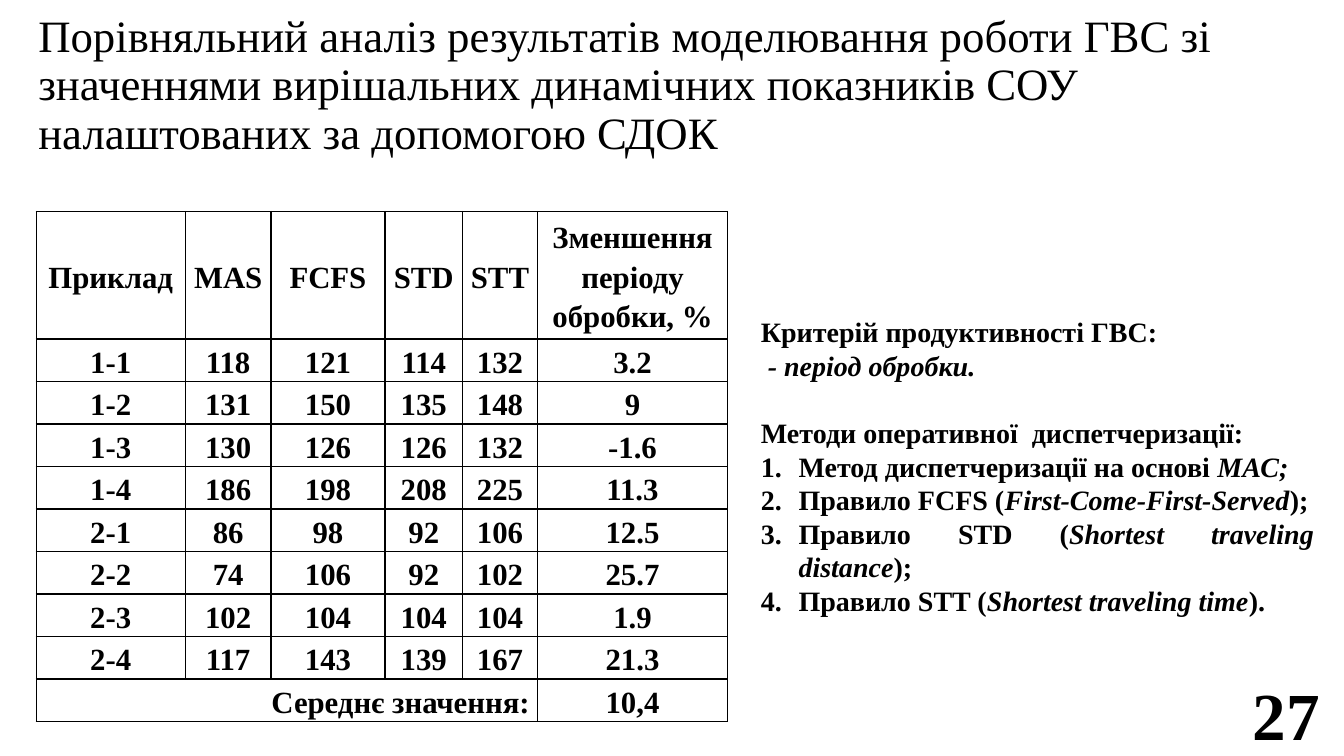
from pptx import Presentation
from pptx import util as u
from pptx.dml.color import RGBColor
from pptx.enum import text
from pptx.oxml import parse_xml
from pptx.oxml.ns import nsdecls

FONT = "Times New Roman"
BLACK = "000000"
AL = text.PP_ALIGN
MIDDLE = text.MSO_ANCHOR.MIDDLE

TITLE = ("Порівняльний аналіз результатів моделювання роботи ГВС зі значеннями "
         "вирішальних динамічних показників СОУ налаштованих за допомогою СДОК")
HEADER = ["Приклад", "MAS", "FCFS", "STD", "STT", "Зменшення періоду обробки, %"]
RESULTS = [
    ["1-1", "118", "121", "114", "132", "3.2"],
    ["1-2", "131", "150", "135", "148", "9"],
    ["1-3", "130", "126", "126", "132", "-1.6"],
    ["1-4", "186", "198", "208", "225", "11.3"],
    ["2-1", "86", "98", "92", "106", "12.5"],
    ["2-2", "74", "106", "92", "102", "25.7"],
    ["2-3", "102", "104", "104", "104", "1.9"],
    ["2-4", "117", "143", "139", "167", "21.3"],
]
AVERAGE = ["Середнє значення:", "", "", "", "", "10,4"]
COL_WIDTHS = [3.76, 2.16, 2.87, 1.96, 1.88, 4.8]
HEADER_HEIGHT, ROW_HEIGHT = 3.07, 0.97

# Each paragraph: (numbered, space before in points, [(text, italic), ...])
NOTES = [
    (False, 0, [("Критерій продуктивності ГВС:", False)]),
    (False, 0, [(" - період обробки.", True)]),
    (False, 24, [("Методи оперативної  диспетчеризації:", False)]),
    (True, 0, [("Метод диспетчеризації на основі ", False), ("МАС;", True)]),
    (True, 0, [("Правило FCFS (", False), ("First-Come-First-Served", True), (");", False)]),
    (True, 0, [("Правило STD (", False), ("Shortest traveling distance", True), (");", False)]),
    (True, 0, [("Правило STT (", False), ("Shortest traveling time", True), (").", False)]),
]


def color(value):
    return RGBColor.from_string(value)


def place(sp, box):
    sp.left, sp.top, sp.width, sp.height = (u.Cm(v) for v in box)


def style(p, size, bold, align, spacing=1.0):
    p.font.name, p.font.size, p.font.bold = FONT, u.Pt(size), bold
    p.font.color.rgb = color(BLACK)
    p.alignment, p.line_spacing = align, spacing


def set_bullet(p, numbered):
    pPr = p._p.get_or_add_pPr()
    indent = u.Cm(0.95) if numbered else 0
    pPr.set("marL", str(indent))
    pPr.set("indent", str(-indent))
    tag = 'buAutoNum type="arabicPeriod"' if numbered else "buNone"
    pPr.insert_element_before(parse_xml(f"<a:{tag.replace(' ', ' ' + nsdecls('a') + ' ', 1)}/>"
                                        if numbered else f"<a:{tag} {nsdecls('a')}/>"),
                              "a:tabLst", "a:defRPr", "a:extLst")


def set_borders(cell):
    tcPr = cell._tc.get_or_add_tcPr()
    for i, side in enumerate("LRTB"):
        tcPr.insert(i, parse_xml(
            f'<a:ln{side} {nsdecls("a")} w="{u.Pt(1)}"><a:solidFill>'
            f'<a:srgbClr val="{BLACK}"/></a:solidFill></a:ln{side}>'))


def add_title(s, box):
    sp = s.shapes.title
    place(sp, box)
    tf = sp.text_frame
    tf.text = TITLE
    tf.vertical_anchor = MIDDLE
    tf.auto_size = text.MSO_AUTO_SIZE.NONE
    style(tf.paragraphs[0], 32, False, AL.LEFT, 0.9)


def add_results(s, box):
    rows = [HEADER, *RESULTS, AVERAGE]
    table = s.shapes.add_table(len(rows), len(HEADER), *(u.Cm(v) for v in box)).table
    for col, width in zip(table.columns, COL_WIDTHS):
        col.width = u.Cm(width)
    for i, values in enumerate(rows):
        table.rows[i].height = u.Cm(ROW_HEIGHT if i else HEADER_HEIGHT)
        for j, value in enumerate(values):
            cell = table.cell(i, j)
            cell.text = value
            cell.vertical_anchor = MIDDLE
            cell.margin_left = cell.margin_right = u.Cm(0.19)
            cell.margin_top = cell.margin_bottom = 0
            cell.fill.background()
            set_borders(cell)
            style(cell.text_frame.paragraphs[0], 22, True, AL.CENTER, 1.15)
    # Average label spans all columns but the last
    label = table.cell(len(rows) - 1, 0)
    label.merge(table.cell(len(rows) - 1, len(HEADER) - 2))
    label.text_frame.paragraphs[0].alignment = AL.RIGHT


def add_notes(s, box):
    sp = s.placeholders[1]
    place(sp, box)
    tf = sp.text_frame
    tf.auto_size = text.MSO_AUTO_SIZE.SHAPE_TO_FIT_TEXT
    for i, (numbered, before, runs) in enumerate(NOTES):
        p = tf.add_paragraph() if i else tf.paragraphs[0]
        style(p, 20, True, AL.JUSTIFY)
        p.space_before = u.Pt(before)
        set_bullet(p, numbered)
        for words, italic in runs:
            r = p.add_run()
            r.text, r.font.italic = words, italic


def add_page_number(s, box):
    tf = s.shapes.add_textbox(*(u.Cm(v) for v in box)).text_frame
    tf.word_wrap = True
    tf.vertical_anchor = MIDDLE
    tf.text = "27"
    style(tf.paragraphs[0], 48, True, AL.RIGHT)


def main():
    prs = Presentation()
    prs.slide_width, prs.slide_height = u.Cm(33.87), u.Cm(19.05)
    s = prs.slides.add_slide(prs.slide_layouts[1])
    add_title(s, (0.71, 0.33, 32.51, 3.68))
    add_results(s, (0.91, 5.33, sum(COL_WIDTHS), HEADER_HEIGHT + 9 * ROW_HEIGHT))
    add_notes(s, (18.92, 7.8, 14.45, 7.09))
    add_page_number(s, (30.94, 17.48, 2.57, 1.02))
    prs.save("out.pptx")


if __name__ == "__main__":
    main()
